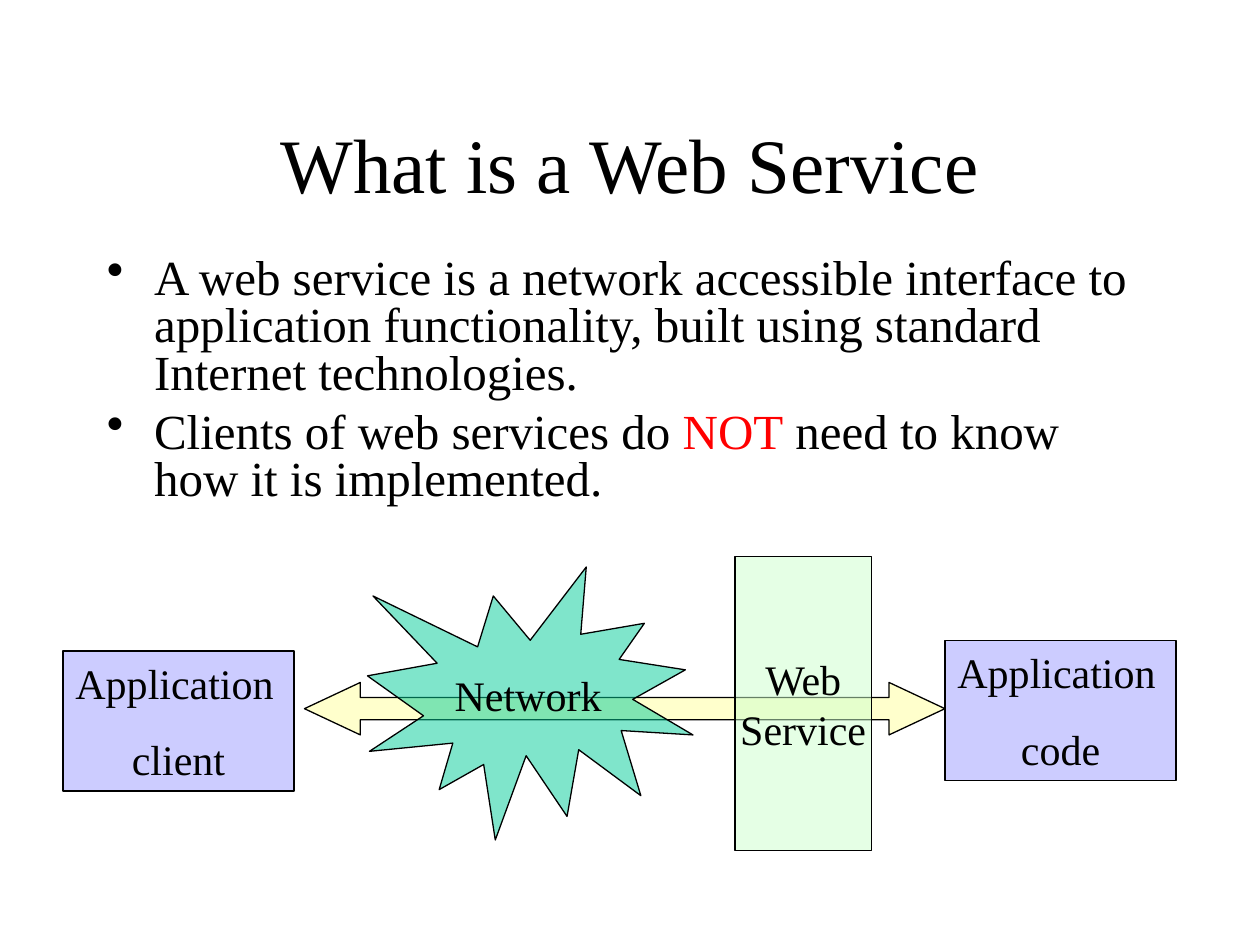
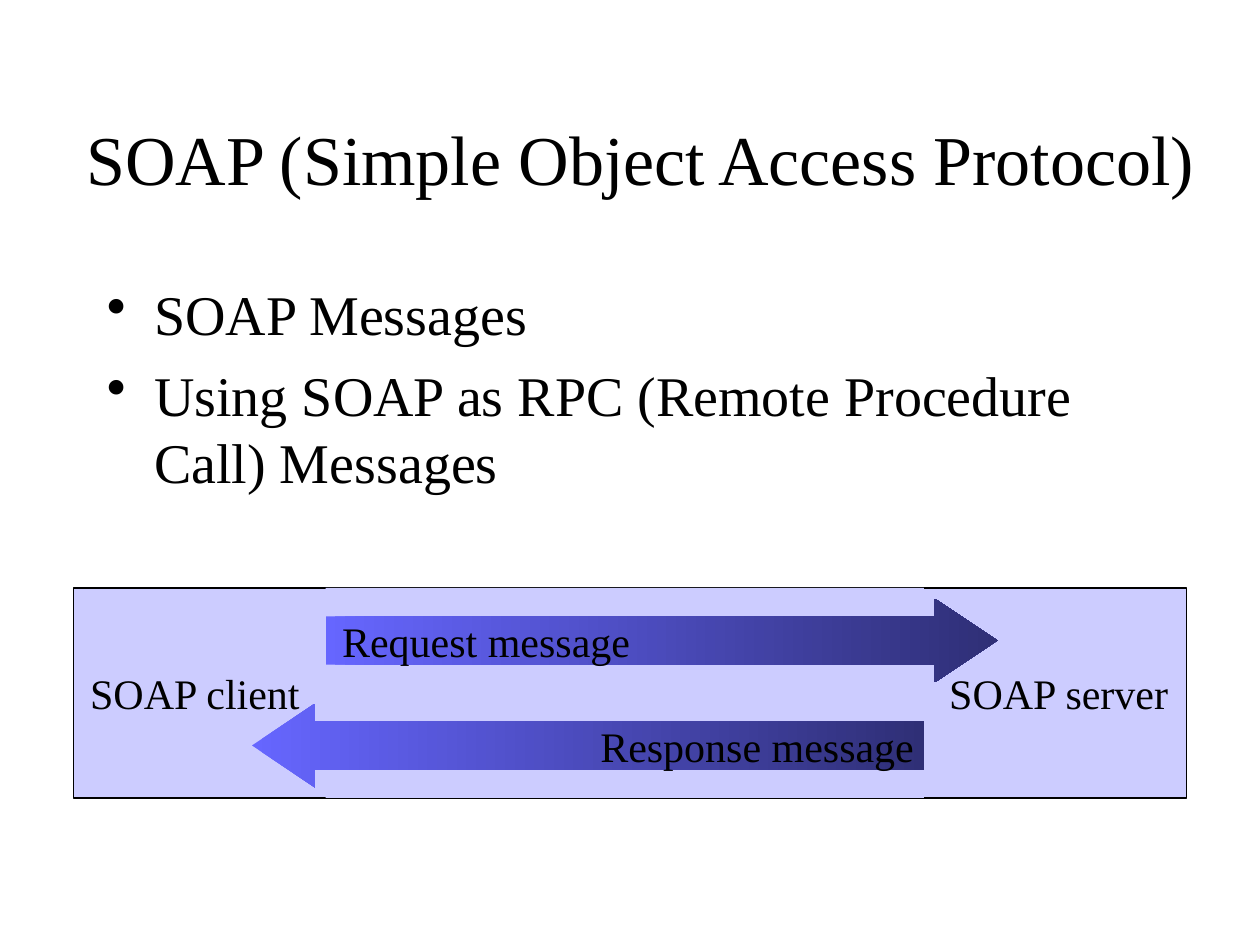
import pptx
import pptx.util
import pptx.dml.color
import pptx.enum.shapes
import pptx.enum.text
import pptx.oxml.ns
from lxml import etree

Pt = pptx.util.Pt
SHAPE = pptx.enum.shapes.MSO_SHAPE
ALIGN = pptx.enum.text.PP_ALIGN
ANCHOR = pptx.enum.text.MSO_ANCHOR

# Shared style
FONT = "Times New Roman"
BLACK, RED = "000000", "FF0000"
LAVENDER, CREAM, TEAL, MINT = "CCCCFF", "FFFFCC", "00CC99", "CCFFCC"
MESSAGE_GRADIENT = ("6666FF", "2F2F76")
LABEL_SIZE = 24
BULLET_INDENT = 27
LEFT, CENTER, RIGHT = ALIGN.LEFT, ALIGN.CENTER, ALIGN.RIGHT

# Content: each bullet is a list of (text, colour) runs, boxes are left, top, width, height
SLIDES = [
    {
        "title": ("What is a Web Service", 44, (54, 48, 612, 90)),
        "bullets": {
            "box": (54, 144, 612, 156), "size": 28, "before": 7, "spacing": 0.8,
            "items": [
                [("A web service is a network accessible interface to application "
                  "functionality, built using standard Internet technologies.", BLACK)],
                [("Clients of web services do ", BLACK), ("NOT", RED),
                 (" need to know how it is implemented.", BLACK)],
            ],
        },
        "diagram": [
            dict(kind=SHAPE.LEFT_RIGHT_ARROW, box=(174, 390, 366, 30), fill=CREAM,
                 adjust=(0.425, 1.066)),
            dict(kind=SHAPE.RECTANGLE, box=(36, 372, 132, 80), fill=LAVENDER, anchor=ANCHOR.TOP,
                 lines=[("Application", LEFT), ("client", CENTER)], before=15),
            dict(kind=SHAPE.RECTANGLE, box=(540, 366, 132, 80), fill=LAVENDER, anchor=ANCHOR.TOP,
                 lines=[("Application", LEFT), ("code", CENTER)], before=15),
            dict(kind=SHAPE.EXPLOSION1, box=(210, 324, 186, 156), fill=TEAL, alpha=50,
                 lines=[("Network", CENTER)], wrap=False),
            dict(kind=SHAPE.RECTANGLE, box=(420, 318, 78, 168), fill=MINT, alpha=50,
                 lines=[("Web", CENTER), ("Service", CENTER)], wrap=False),
        ],
    },
    {
        "title": ("SOAP (Simple Object Access Protocol)", 40, (36, 60, 660, 60)),
        "bullets": {
            "box": (54, 156, 612, 324), "size": 32, "before": 8, "spacing": 1.0,
            "items": [
                [("SOAP Messages", BLACK)],
                [("Using SOAP as RPC (Remote Procedure Call) Messages", BLACK)],
            ],
        },
        "diagram": [
            dict(kind=SHAPE.RECTANGLE, box=(42, 336, 636, 120), fill=LAVENDER, inset=9.5,
                 lines=[("SOAP client\tSOAP server", LEFT)], right_tab=616),
            dict(kind=SHAPE.RECTANGLE, box=(186, 336, 342, 120), fill=LAVENDER, outline=False),
            dict(kind=SHAPE.RIGHT_ARROW, box=(186, 342, 384, 48), gradient=MESSAGE_GRADIENT,
                 outline=False, adjust=(0.573, 0.748), inset=9.5,
                 lines=[("Request message", LEFT)]),
            dict(kind=SHAPE.LEFT_ARROW, box=(144, 402, 384, 48), gradient=MESSAGE_GRADIENT,
                 outline=False, adjust=(0.573, 0.748), inset=5.7,
                 lines=[("Response message", RIGHT)]),
        ],
    },
]


def colour(hex_value):
    return pptx.dml.color.RGBColor.from_string(hex_value)


def add_element(parent, tag, **attributes):
    return etree.SubElement(parent, pptx.oxml.ns.qn(tag), attributes)


def set_font(font, size, hex_value=BLACK):
    font.name, font.size = FONT, Pt(size)
    font.color.rgb = colour(hex_value)


def add_title(slide, text, size, box):
    title = slide.shapes.title
    title.left, title.top, title.width, title.height = map(Pt, box)
    frame = title.text_frame
    frame.text = text
    frame.word_wrap = True
    frame.vertical_anchor = ANCHOR.MIDDLE
    frame.paragraphs[0].alignment = CENTER
    set_font(frame.paragraphs[0].font, size)


def add_bullets(slide, box, size, before, spacing, items):
    frame = slide.shapes.add_textbox(*map(Pt, box)).text_frame
    frame.word_wrap = True
    for number, runs in enumerate(items):
        paragraph = frame.add_paragraph() if number else frame.paragraphs[0]
        paragraph.line_spacing = spacing
        paragraph.space_before = Pt(before if number else 0)
        properties = paragraph._p.get_or_add_pPr()
        properties.set("marL", str(Pt(BULLET_INDENT)))
        properties.set("indent", str(-Pt(BULLET_INDENT)))
        add_element(properties, "a:buChar", char="•")
        set_font(paragraph.font, size)
        for text, run_colour in runs:
            run = paragraph.add_run()
            run.text = text
            set_font(run.font, size, run_colour)


def add_part(slide, kind, box, fill=None, alpha=None, gradient=None, outline=True, adjust=(),
             lines=(), anchor=ANCHOR.MIDDLE, before=0, wrap=True, inset=7.2, right_tab=None):
    part = slide.shapes.add_shape(kind, *map(Pt, box))
    part.shadow.inherit = False
    for index, value in enumerate(adjust):
        part.adjustments[index] = value

    # Fill and outline
    if gradient:
        part.fill.gradient()
        part.fill.gradient_angle = 0
        for stop, position, stop_colour in zip(part.fill.gradient_stops, (0, 1), gradient):
            stop.position = position
            stop.color.rgb = colour(stop_colour)
    else:
        part.fill.solid()
        part.fill.fore_color.rgb = colour(fill)
    if alpha:
        solid = part._element.spPr.find(pptx.oxml.ns.qn("a:solidFill"))
        add_element(solid[0], "a:alpha", val=str(alpha * 1000))
    if outline:
        part.line.color.rgb = colour(BLACK)
        part.line.width = Pt(0.75)
    else:
        part.line.fill.background()

    # Label
    frame = part.text_frame
    frame.word_wrap = wrap
    frame.vertical_anchor = anchor
    frame.margin_left = frame.margin_right = Pt(inset)
    for number, (text, alignment) in enumerate(lines):
        paragraph = frame.add_paragraph() if number else frame.paragraphs[0]
        paragraph.space_before = Pt(before if number else 0)
        if right_tab:
            tabs = add_element(paragraph._p.get_or_add_pPr(), "a:tabLst")
            add_element(tabs, "a:tab", pos=str(Pt(right_tab)), algn="r")
        paragraph.add_run().text = text
        paragraph.alignment = alignment
        set_font(paragraph.font, LABEL_SIZE)


def main():
    deck = pptx.Presentation()
    deck.slide_width, deck.slide_height = Pt(720), Pt(540)
    for content in SLIDES:
        slide = deck.slides.add_slide(deck.slide_layouts[5])
        add_title(slide, *content["title"])
        add_bullets(slide, **content["bullets"])
        for part in content["diagram"]:
            add_part(slide, **part)
    deck.save("out.pptx")


if __name__ == "__main__":
    main()
